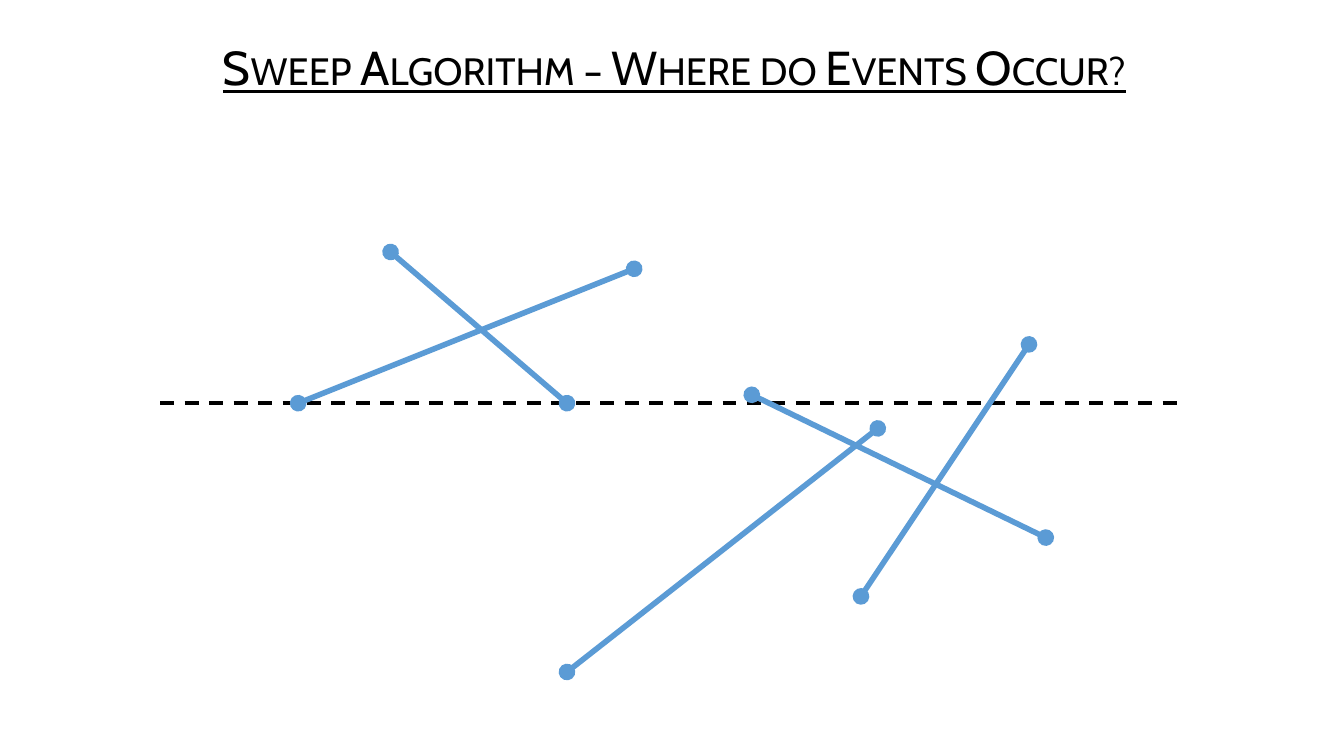
from pptx import Presentation
from pptx.dml.color import RGBColor
from pptx.enum.dml import MSO_LINE
from pptx.enum.shapes import MSO_CONNECTOR
from pptx.enum.text import MSO_ANCHOR, PP_ALIGN
from pptx.oxml.ns import qn
from pptx.util import Pt
from lxml.etree import SubElement

COLORS = {"ink": "000000", "segment": "5B9BD5"}

SWEEP = ((114.5, 288), (845.5, 288))
SEGMENTS = [
    ((279, 180), (405, 288)),
    ((213, 288), (453, 192)),
    ((405, 480), (627, 306)),
    ((537, 282), (747, 384)),
    ((735, 246), (615, 426)),
]


def add_title(slide, text):
    box = slide.shapes.add_textbox(Pt(127.5), Pt(21), Pt(708.5), Pt(61))
    frame = box.text_frame
    frame.word_wrap = True
    frame.vertical_anchor = MSO_ANCHOR.MIDDLE
    para = frame.paragraphs[0]
    para.text = text
    para.alignment = PP_ALIGN.CENTER
    para.line_spacing = 0.8
    para.space_before = Pt(10)
    font = para.font
    font.name = "Cabin"
    font.size = Pt(34)
    font.underline = True
    font.color.rgb = RGBColor.from_string(COLORS["ink"])
    para._p.pPr.find(qn("a:defRPr")).set("cap", "small")


def add_line(slide, ends, color, width):
    (x1, y1), (x2, y2) = ends
    line = slide.shapes.add_connector(
        MSO_CONNECTOR.STRAIGHT, Pt(x1), Pt(y1), Pt(x2), Pt(y2))
    line.line.color.rgb = RGBColor.from_string(COLORS[color])
    line.line.width = Pt(width)
    SubElement(line._element.spPr, qn("a:effectLst"))
    return line


def add_segment(slide, ends):
    """Draw a segment with a dot at each end."""
    line = add_line(slide, ends, "segment", 4)
    outline = line._element.spPr.find(qn("a:ln"))
    for tag in ("a:headEnd", "a:tailEnd"):
        SubElement(outline, qn(tag), type="oval")


def main():
    deck = Presentation()
    deck.slide_width, deck.slide_height = Pt(960), Pt(540)
    slide = deck.slides.add_slide(deck.slide_layouts[6])
    sweep = add_line(slide, SWEEP, "ink", 2.5)
    sweep.line.dash_style = MSO_LINE.DASH
    add_title(slide, "Sweep Algorithm – Where do Events Occur?")
    for ends in SEGMENTS:
        add_segment(slide, ends)
    deck.save("out.pptx")


if __name__ == "__main__":
    main()
